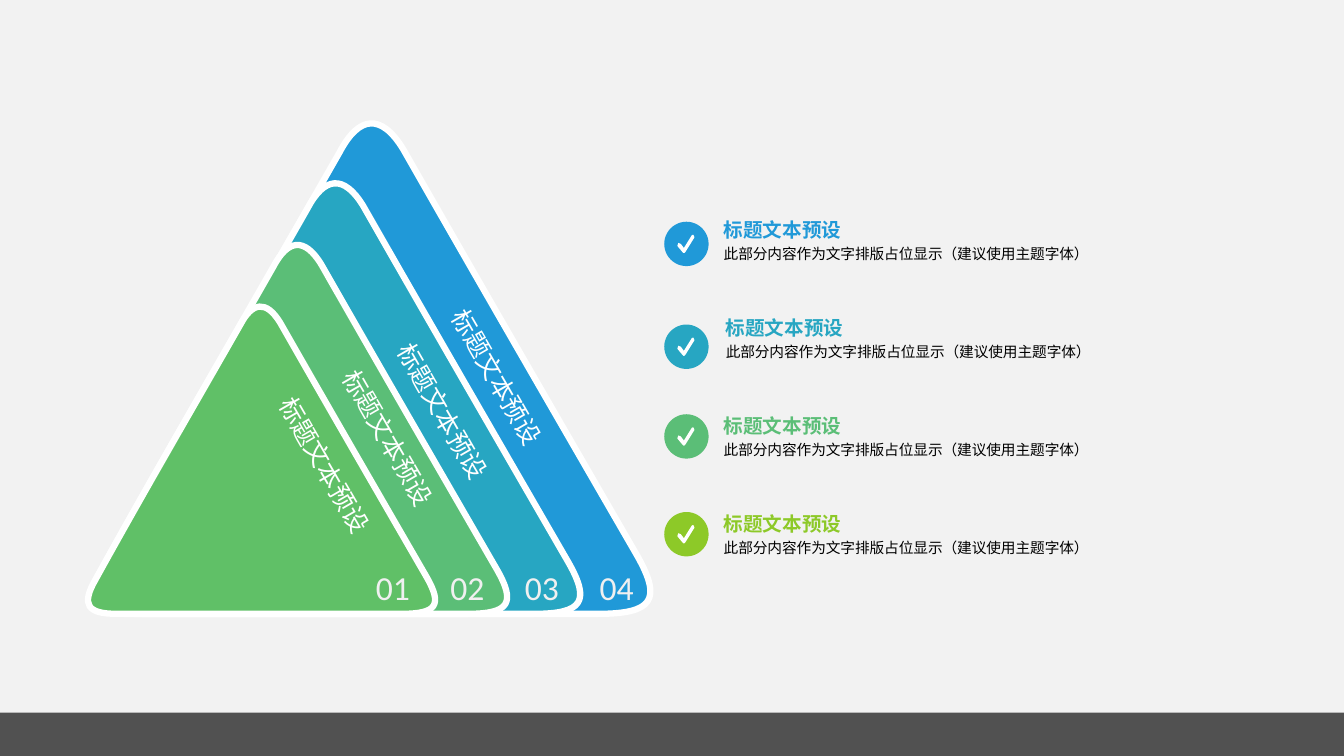
from dataclasses import dataclass

from lxml import etree
from pptx import Presentation
from pptx.dml.color import RGBColor
from pptx.enum.shapes import MSO_SHAPE
from pptx.enum.text import MSO_ANCHOR, PP_ALIGN
from pptx.oxml.ns import qn
from pptx.util import Emu, Pt

RECT, OVAL = MSO_SHAPE.RECTANGLE, MSO_SHAPE.OVAL
TOP, MIDDLE = MSO_ANCHOR.TOP, MSO_ANCHOR.MIDDLE
LEFT, CENTER = PP_ALIGN.LEFT, PP_ALIGN.CENTER

BACKGROUND = RGBColor(0xF2, 0xF2, 0xF2)
BAR = RGBColor(0x0D, 0x0D, 0x0D)
BLUE = RGBColor(0x20, 0x99, 0xD8)
TEAL = RGBColor(0x27, 0xA6, 0xC2)
GREEN = RGBColor(0x5B, 0xBE, 0x77)
LEAF = RGBColor(0x60, 0xC0, 0x67)
LIME = RGBColor(0x8D, 0xC9, 0x28)
WHITE = RGBColor(0xFF, 0xFF, 0xFF)
PALE = RGBColor(0xF0, 0xF0, 0xF0)
BLACK = RGBColor(0, 0, 0)

FONT = "Calibri"
TITLE = "标题文本预设"
BODY = "此部分内容作为文字排版占位显示（建议使用主题字体）"

# Grid: 750 rows of square cells over the slide's height
WIDTH, HEIGHT = Emu(12192000), Emu(6858000)
ROWS = 750
CELL = HEIGHT // ROWS

Point = tuple[float, float]
Segment = tuple[Point, ...]  # one point: line; three points: curve


@dataclass
class Layer:
    left: float
    width: float
    color: RGBColor
    number: str
    label_left: float
    label_top: float


@dataclass
class Item:
    circle_top: float
    text_left: float
    color: RGBColor


# Largest triangle, measured from the top left of its frame
TRIANGLE_WIDTH, TRIANGLE_HEIGHT, BASELINE = 573, 497, 609
TRIANGLE_START: Point = (283, 497)
TRIANGLE: list[Segment] = [
    ((209, 497), (135, 497), (57, 497)),
    ((11, 497), (0, 483), (24, 442)),
    ((99, 306), (176, 174), (253, 39)),
    ((272, 3), (294, 0), (316, 36)),
    ((393, 171), (470, 304), (548, 439)),
    ((573, 483), (564, 497), (509, 497)),
    ((435, 497), (360, 497), (283, 497)),
]
TICK_START: Point = (6, 18)
TICK: list[Segment] = [
    ((6, 18), (5, 17.5), (5, 17)),
    ((0, 11),),
    ((0, 10), (0, 9), (1, 8)),
    ((2, 8), (3, 8), (3.5, 9)),
    ((6.5, 13),),
    ((14, 1),),
    ((14, 0), (15, 0), (16, 0)),
    ((17, 1), (17, 2), (17, 2.5)),
    ((8, 17),),
    ((8, 17.5), (7, 18), (7, 18)),
    ((7, 18), (6, 18), (6, 18)),
]

# Back to front
LAYERS = [
    Layer(84, 573, BLUE, "04", 407, 354),
    Layer(83, 503, TEAL, "03", 353, 388),
    Layer(81, 431, GREEN, "02", 299, 414),
    Layer(80, 359, LEAF, "01", 236, 441),
]
NUMBER_LEFT, NUMBER_STEP, NUMBER_TOP = 585, 74, 558
ITEMS = [
    Item(220, 702, BLUE),
    Item(322, 704, TEAL),
    Item(411, 702, GREEN),
    Item(508, 702, LIME),
]
CIRCLE_LEFT, CIRCLE_SIZE, TICK_INSET = 659, 44, 13
ITEM_TOP, ITEM_STEP, TITLE_HEIGHT = 216, 97.33, 24


def cells(n: float) -> Emu:
    return Emu(round(n * CELL))


def add_outline(slide, left: float, top: float, scale: float, start: Point,
                segments: list[Segment], color: RGBColor, line: float = 0):
    def place(pt: Point) -> tuple[Emu, Emu]:
        return cells(left + pt[0] * scale), cells(top + pt[1] * scale)

    fb = slide.shapes.build_freeform(*place(start))
    fb.add_line_segments([place(pt) for seg in segments for pt in seg])
    sp = fb.convert_to_shape()
    # Merge each run of three points into one cubic curve
    nodes = iter(list(sp._element.iter(qn("a:lnTo"))))
    for seg in segments:
        group = [next(nodes) for _ in seg]
        if len(seg) == 3:
            curve = etree.Element(qn("a:cubicBezTo"))
            group[0].addprevious(curve)
            for node in group:
                curve.append(node[0])
                node.getparent().remove(node)
    paint(sp, color)
    if line:
        sp.line.color.rgb = WHITE
        sp.line.width = Pt(line)


def paint(sp, color: RGBColor) -> None:
    sp.shadow.inherit = False
    sp.fill.solid()
    sp.fill.fore_color.rgb = color
    sp.line.fill.background()


def add_text(slide, text: str, box: tuple[float, float, float, float],
             size: float, color: RGBColor, bold: bool = False,
             wrap: bool = False, anchor=TOP, align=LEFT, rotation: float = 0,
             inset: tuple[float, float] = (10, 5), spacing: float = 1) -> None:
    sp = slide.shapes.add_textbox(*map(cells, box))
    sp.rotation = rotation
    tf = sp.text_frame
    tf.word_wrap, tf.vertical_anchor = wrap, anchor
    tf.margin_left = tf.margin_right = cells(inset[0])
    tf.margin_top = tf.margin_bottom = cells(inset[1])
    p = tf.paragraphs[0]
    p.alignment, p.line_spacing = align, spacing
    r = p.add_run()
    r.text = text
    r.font.name, r.font.size, r.font.bold = FONT, Pt(size), bold
    r.font.color.rgb = color


def add_item(slide, item: Item, top: float) -> None:
    circle = slide.shapes.add_shape(OVAL, cells(CIRCLE_LEFT), cells(item.circle_top),
                                    cells(CIRCLE_SIZE), cells(CIRCLE_SIZE))
    paint(circle, item.color)
    add_outline(slide, CIRCLE_LEFT + TICK_INSET, item.circle_top + TICK_INSET,
                1, TICK_START, TICK, WHITE)
    add_text(slide, TITLE, (item.text_left, top, 150, TITLE_HEIGHT), 14,
             item.color, bold=True, anchor=MIDDLE, inset=(16, 0))
    add_text(slide, BODY, (item.text_left, top + TITLE_HEIGHT - 0.5, 519, 53),
             10.5, BLACK, wrap=True, inset=(16, 0), spacing=1.2)


def main() -> None:
    prs = Presentation()
    prs.slide_width, prs.slide_height = WIDTH, HEIGHT
    s = prs.slides.add_slide(prs.slide_layouts[6])
    s.background.fill.solid()
    s.background.fill.fore_color.rgb = BACKGROUND

    # Footer bar, 70 % opaque
    bar = s.shapes.add_shape(RECT, 0, cells(707), WIDTH, HEIGHT - cells(707))
    paint(bar, BAR)
    rgb = bar._element.spPr.find(qn("a:solidFill"))[0]
    etree.SubElement(rgb, qn("a:alpha"), val="70000")

    # Nested triangles
    for layer in LAYERS:
        scale = layer.width / TRIANGLE_WIDTH
        add_outline(s, layer.left, BASELINE - TRIANGLE_HEIGHT * scale, scale,
                    TRIANGLE_START, TRIANGLE, layer.color, line=4.5)

    # Numbers along the base and labels along the slope
    for i, layer in enumerate(LAYERS):
        add_text(s, layer.number, (NUMBER_LEFT - i * NUMBER_STEP, NUMBER_TOP, 58, 50),
                 24, PALE)
        add_text(s, TITLE, (layer.label_left, layer.label_top, 172, 40), 18, WHITE,
                 align=CENTER, rotation=60)

    # Checklist
    for i, item in enumerate(ITEMS):
        add_item(s, item, ITEM_TOP + i * ITEM_STEP)

    prs.save("out.pptx")


if __name__ == "__main__":
    main()
